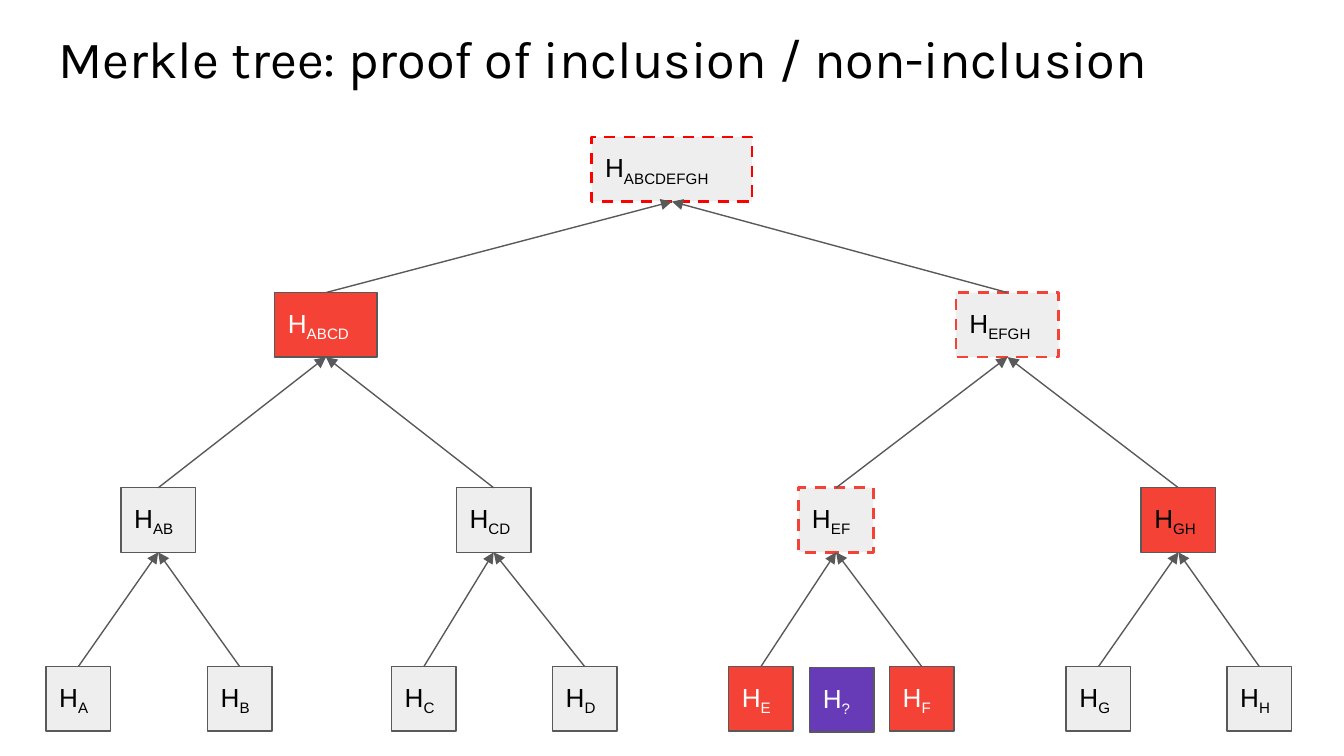
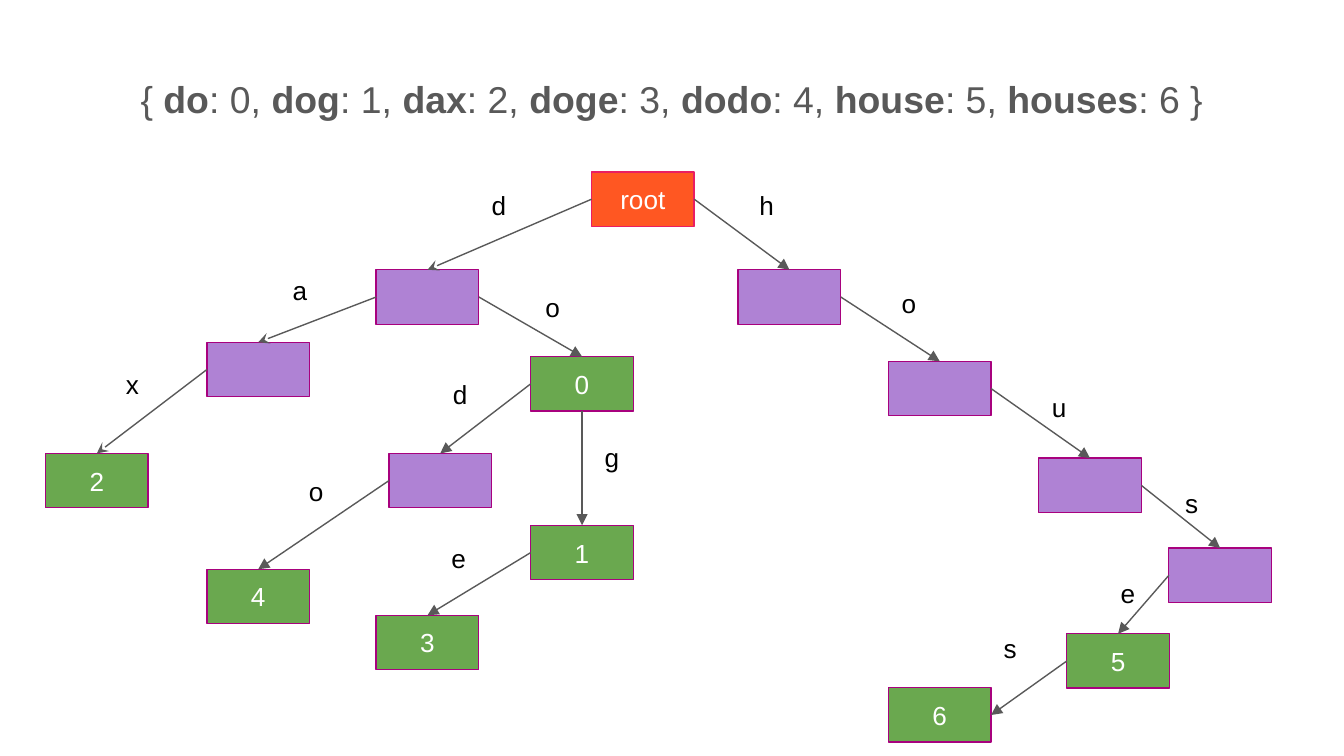
from lxml import etree
from pptx import Presentation
from pptx.dml.color import RGBColor
from pptx.enum import dml, shapes, text
from pptx.oxml import ns
from pptx.util import Cm, Pt

HUES = {
    "ink": "000000", "white": "FFFFFF", "gray": "595959", "pale": "EEEEEE",
    "red": "F44336", "alert": "FF0000", "violet": "673AB7",
    "orange": "FF5722", "pink": "E91E63", "lilac": "AF82D4",
    "plum": "A8017E", "green": "6AA84F",
}
TOP, LEFT, BOTTOM, RIGHT = range(4)  # connection sites of a rectangle

# Merkle tree rows, leaves first: top, box width, box centres
ROWS = [
    (12.6, 1.22, [1.48, 4.53, 8.01, 11.05, 14.38, 17.42, 20.76, 23.8]),
    (9.22, 1.41, [2.99, 9.33, 15.8, 22.27]),
    (5.53, 1.94, [6.16, 19.04]),
    (2.59, 3.03, [12.7]),
]
SIDE = 1.22
LEAVES = "ABCDEFGH"
PLAIN = {"fill": "pale"}
GIVEN = {"fill": "red", "hue": "white"}
PROVEN = {"fill": "pale", "line": "red", "dash": True}
LOOKS = {
    "E": GIVEN, "F": GIVEN, "ABCD": GIVEN, "GH": {"fill": "red"},
    "EF": PROVEN, "EFGH": PROVEN, LEAVES: {**PROVEN, "line": "alert"},
}

WORDS = {"do": 0, "dog": 1, "dax": 2, "doge": 3, "dodo": 4, "house": 5, "houses": 6}
ROOT = (11.18, 3.25)
# Trie prefix: left and top of its node, left and top of its letter
TRIE = {
    "d": (7.11, 5.1, 9.04, 3.33),
    "da": (3.91, 6.47, 5.28, 4.93),
    "dax": (0.86, 8.57, 2.13, 6.71),
    "do": (10.03, 6.74, 10.06, 5.26),
    "dod": (7.35, 8.57, 8.31, 6.91),
    "dodo": (3.91, 10.76, 5.59, 8.74),
    "dog": (10.03, 9.93, 11.18, 8.1),
    "doge": (7.11, 11.63, 8.28, 10.01),
    "h": (13.95, 5.1, 14.1, 3.33),
    "ho": (16.79, 6.83, 16.79, 5.18),
    "hou": (19.63, 8.66, 19.63, 7.14),
    "hous": (22.09, 10.36, 22.15, 8.97),
    "house": (20.16, 11.98, 20.93, 10.67),
    "houses": (16.79, 13, 18.72, 11.71),
}


def color(name):
    return RGBColor.from_string(HUES[name])


class Deck:
    font = "Arial"
    size = 14

    def __init__(self):
        self.prs = Presentation()
        self.prs.slide_width, self.prs.slide_height = Cm(25.4), Cm(14.29)
        self.slide = None

    def add(self, layout):
        self.slide = self.prs.slides.add_slide(self.prs.slide_layouts.get_by_name(layout))

    def put(self, shape, runs, hue="ink", size=size, font=font, center=False, middle=False):
        """Fill a shape with one paragraph of (words, style) runs; style is "", "bold" or "sub"."""
        frame = shape.text_frame
        frame.word_wrap = True
        frame.auto_size = text.MSO_AUTO_SIZE.NONE
        frame.vertical_anchor = text.MSO_ANCHOR.MIDDLE if middle else text.MSO_ANCHOR.TOP
        frame.margin_left = frame.margin_right = Cm(0.25)
        frame.margin_top = frame.margin_bottom = Cm(0.25)
        para = frame.paragraphs[0]
        para.alignment = text.PP_ALIGN.CENTER if center else text.PP_ALIGN.LEFT
        para.font.name, para.font.size = font, Pt(size)
        para.font.color.rgb = color(hue)
        for words, style in runs:
            run = para.add_run()
            run.text = words
            if style == "bold":
                run.font.bold = True
            elif style == "sub":
                run._r.get_or_add_rPr().set("baseline", "-25000")
        return para

    def title(self, words):
        shape = self.slide.shapes.title
        shape.left, shape.top, shape.width, shape.height = Cm(0.86), Cm(0.25), Cm(23.67), Cm(1.6)
        self.put(shape, [(words, "")], size=28, font="Karla")

    def label(self, left, top, width, height, runs, **style):
        shape = self.slide.shapes.add_textbox(Cm(left), Cm(top), Cm(width), Cm(height))
        return self.put(shape, runs, **style)

    def box(self, left, top, width, height, runs=(), fill="pale", line="gray",
            dash=False, hue="ink", center=False):
        shape = self.slide.shapes.add_shape(
            shapes.MSO_SHAPE.RECTANGLE, Cm(left), Cm(top), Cm(width), Cm(height))
        shape.shadow.inherit = False
        shape.fill.solid()
        shape.fill.fore_color.rgb = color(fill)
        shape.line.color.rgb = color(line)
        shape.line.width = Pt(1.5 if dash else 0.75)
        if dash:
            shape.line.dash_style = dml.MSO_LINE.DASH
        if runs:
            self.put(shape, runs, hue, center=center, middle=True)
        return shape

    def arrow(self, start, out, end, into, tip="triangle"):
        """Join site out of start to site into of end."""
        link = self.slide.shapes.add_connector(shapes.MSO_CONNECTOR.STRAIGHT, 0, 0, 0, 0)
        link.begin_connect(start, out)
        link.end_connect(end, into)
        link.line.color.rgb = color("gray")
        link.line.width = Pt(0.75)
        etree.SubElement(link.line._get_or_add_ln(), ns.qn("a:tailEnd"), type=tip)
        etree.SubElement(link._element.spPr, ns.qn("a:effectLst"))


def hash_box(deck, mid, top, width, name, look):
    return deck.box(mid - width / 2, top, width, SIDE, [("H", ""), (name, "sub")], **look)


def merkle(deck):
    deck.add("Title Only")
    deck.title("Merkle tree: proof of inclusion / non-inclusion")
    below = []
    for top, width, mids in ROWS:
        span = len(LEAVES) // len(mids)
        row = []
        for i, mid in enumerate(mids):
            name = LEAVES[i * span:(i + 1) * span]
            row.append(hash_box(deck, mid, top, width, name, LOOKS.get(name, PLAIN)))
        for i, child in enumerate(below):
            deck.arrow(child, TOP, row[i // 2], BOTTOM)
        below = row
    hash_box(deck, 15.91, 12.62, SIDE, "?", {"fill": "violet", "hue": "white"})


def trie(deck):
    deck.add("Blank")
    runs = [("{ ", "")]
    for word, value in WORDS.items():
        runs += [(word, "bold"), (f": {value}, ", "")]
    runs[-1] = (f": {value} }}", "")
    para = deck.label(0.86, 1.07, 23.67, 1.6, runs, hue="gray", size=20, center=True)
    para.line_spacing, para.space_after = 1.15, Pt(16)

    def node(left, top, words="", **look):
        runs = [(words, "")] if words else ()
        return deck.box(left, top, 1.94, 1.03, runs, hue="white", center=True, **look)

    nodes = {"": node(*ROOT, "root", fill="orange", line="pink")}
    for key, (left, top, x, y) in TRIE.items():
        start = nodes[key[:-1]]
        words = str(WORDS.get(key, ""))
        end = nodes[key] = node(left, top, words, fill="green" if words else "lilac", line="plum")
        if end.left == start.left:
            out = BOTTOM
        else:
            out = LEFT if end.left < start.left else RIGHT
        into = RIGHT if key == "houses" else TOP
        deck.arrow(start, out, end, into, "stealth" if key in ("d", "da", "dax") else "triangle")
        deck.label(x, y, 0.81, 0.86, [(key[-1], "")])


def main():
    deck = Deck()
    merkle(deck)
    trie(deck)
    deck.prs.save("out.pptx")


if __name__ == "__main__":
    main()
